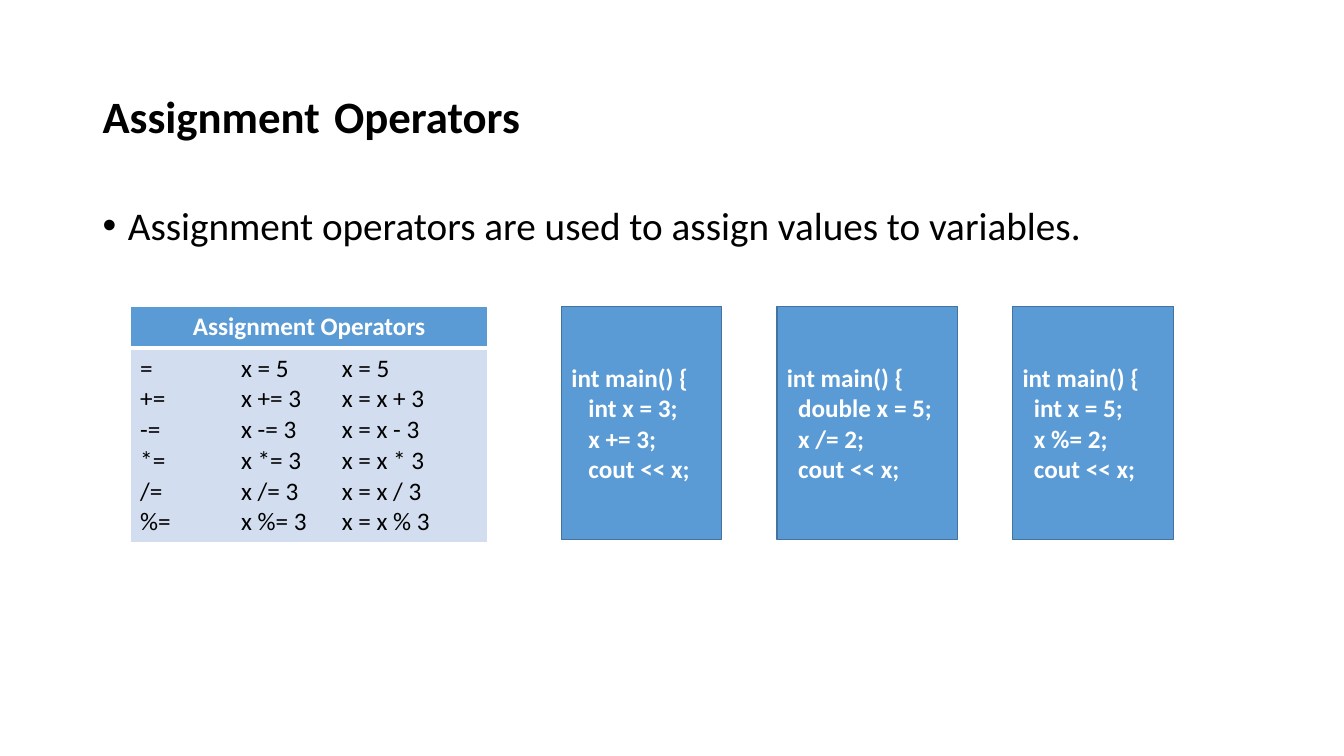
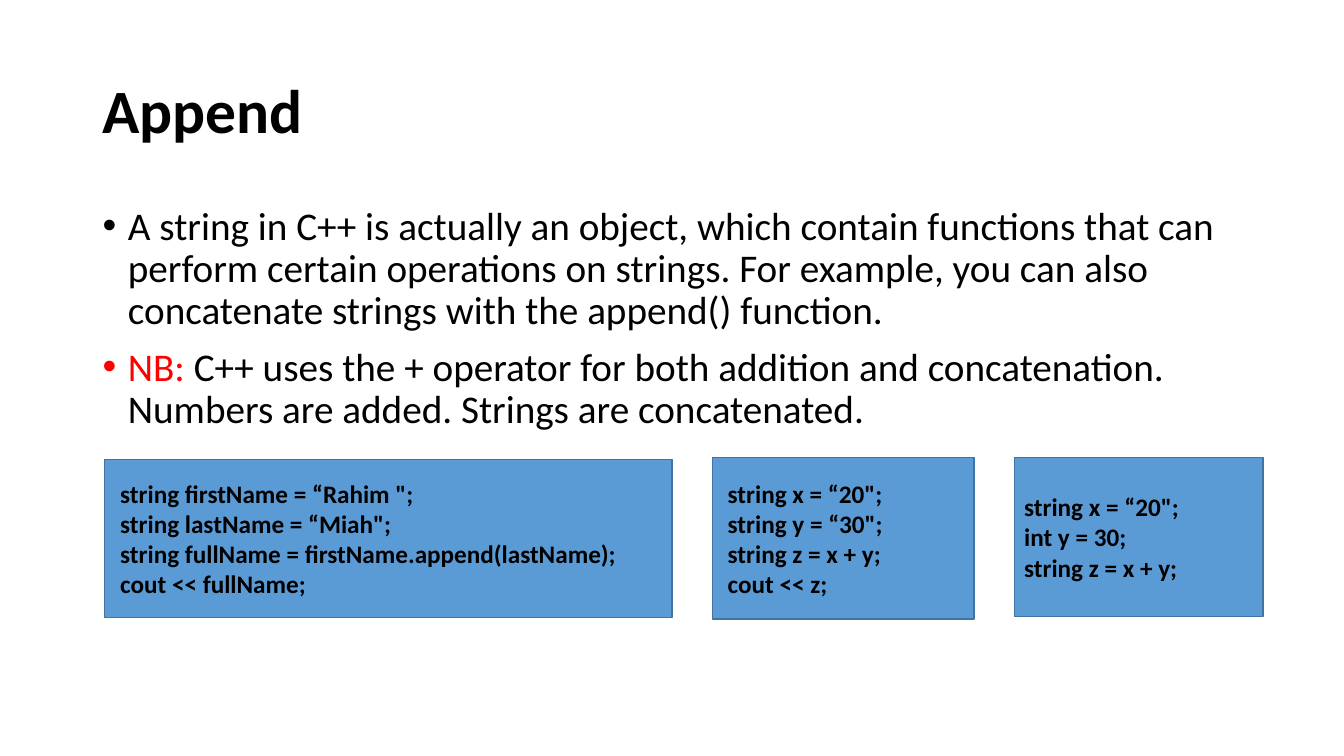
from lxml.etree import SubElement
from pptx import Presentation
from pptx.dml.color import RGBColor
from pptx.enum.shapes import MSO_SHAPE as Kind
from pptx.enum.text import MSO_ANCHOR as Anchor, MSO_AUTO_SIZE as Fit, PP_ALIGN as Align
from pptx.oxml.ns import qn
from pptx.util import Cm, Pt

# Shared look
BLUE, EDGE, PALE = "5B9BD5", "43739E", "D2DEEF"
BLACK, WHITE, RED = "000000", "FFFFFF", "FF0000"
FONT = "Calibri"
TITLE_BOX = (2.33, 1.01, 29.21, 3.68)
BODY_BOX = (2.33, 5.07, 29.21, 12.09)
PAD = 0.25
TAB = 2.54

# Content: titles are (text, size) runs, points are lists of (text, colour) runs
# Cards: width, offset from the row's top, height, extra left inset, code
SLIDES = [
    dict(
        title=[("Assignment", 32), (" ", 44), ("Operators", 32)],
        points=[[("Assignment operators are used to assign values to variables.", BLACK)]],
        table=("Assignment Operators", [
            ("=", "x = 5", "x = 5"),
            ("+=", "x += 3", "x = x + 3"),
            ("-=", "x -= 3", "x = x - 3"),
            ("*=", "x *= 3", "x = x * 3"),
            ("/=", "x /= 3", "x = x / 3"),
            ("%=", "x %= 3", "x = x % 3"),
        ]),
        left=14.15, top=7.72, gap=1.39, color=WHITE,
        cards=[
            (4.04, 0, 5.87, 0, ["int main() {", "   int x = 3;", "   x += 3;", "   cout << x;"]),
            (4.55, 0, 5.87, 0, ["int main() {", "  double x = 5;", "  x /= 2;", "  cout << x;"]),
            (4.06, 0, 5.87, 0, ["int main() {", "  int x = 5;", "  x %= 2;", "  cout << x;"]),
        ],
    ),
    dict(
        title=[("Append", 44)],
        points=[
            [("A string in C++ is actually an object, which contain functions that can "
              "perform certain operations on strings. For example, you can also "
              "concatenate strings with the append() function.", BLACK)],
            [("NB: ", RED),
             ("C++ uses the + operator for both addition and concatenation. "
              "Numbers are added. Strings are concatenated.", BLACK)],
        ],
        left=2.64, top=11.53, gap=1.01, color=BLACK,
        cards=[
            (14.3, 0.05, 3.98, 0.14, [
                'string firstName = “Rahim ";',
                'string lastName = “Miah";',
                "string fullName = firstName.append(lastName);",
                "cout << fullName;",
            ]),
            (6.6, 0, 4.07, 0.14, [
                'string x = “20";', 'string y = “30";', "string z = x + y;", "cout << z;",
            ]),
            (6.27, 0, 4, 0, ['string x = “20";', "int y = 30;", "string z = x + y;"]),
        ],
    ),
]


def rgb(code):
    return RGBColor.from_string(code)


def apply(obj, **vals):
    for key, val in vals.items():
        setattr(obj, key, val)


def place(shape, box):
    for key, val in zip(("left", "top", "width", "height"), box):
        setattr(shape, key, Cm(val))


def style(font, size, color, bold=False):
    apply(font, name=FONT, size=Pt(size), bold=bold)
    font.color.rgb = rgb(color)


def add_run(par, text, size, color, bold=False):
    run = par.add_run()
    run.text = text
    style(run.font, size, color, bold)


def get_par(frame, i):
    return frame.add_paragraph() if i else frame.paragraphs[0]


def set_tabs(par, count):
    if count:
        tabs = SubElement(par._p.get_or_add_pPr(), qn("a:tabLst"))
        for i in range(count):
            SubElement(tabs, qn("a:tab"), pos=str(Cm(TAB * (i + 1))), algn="l")


def write(frame, lines, color, bold=False, align=Align.LEFT):
    for i, line in enumerate(lines):
        par = get_par(frame, i)
        par.alignment = align
        set_tabs(par, line.count("\t"))
        add_run(par, line, 18, color, bold)


def add_title(shape, runs):
    apply(shape.text_frame, vertical_anchor=Anchor.MIDDLE, auto_size=Fit.NONE)
    par = shape.text_frame.paragraphs[0]
    apply(par, alignment=Align.LEFT, line_spacing=0.9)
    for text, size in runs:
        add_run(par, text, size, BLACK, True)


def add_points(shape, points):
    frame = shape.text_frame
    frame.auto_size = Fit.NONE
    for i, runs in enumerate(points):
        par = get_par(frame, i)
        props = par._p.get_or_add_pPr()
        props.set("marL", str(Cm(0.64)))
        props.set("indent", str(-Cm(0.64)))
        apply(par, line_spacing=0.9, space_before=Pt(10 if i else 0))
        for text, color in runs:
            add_run(par, text, 28, color)


def set_edges(cell, widths):
    props = cell._tc.get_or_add_tcPr()
    for i, (side, width) in enumerate(zip("LRTB", widths)):
        line = SubElement(props, qn("a:ln" + side), w=str(Pt(width)))
        fill = SubElement(line, qn("a:solidFill"))
        SubElement(fill, qn("a:srgbClr"), val=WHITE)
        props.insert(i, line)


def add_grid(slide, head, rows):
    box = [Cm(n) for n in (3.28, 7.72, 9.02, 5.95)]
    grid = slide.shapes.add_table(2, 1, *box).table
    apply(grid, first_row=False, horz_banding=False)
    lines = ["\t".join(row) for row in rows]
    parts = [
        (1.05, BLUE, (1, 1, 1, 3), [head], WHITE, True, Align.CENTER),
        (4.9, PALE, (1, 1, 3, 1), lines, BLACK, False, Align.LEFT),
    ]
    for i, (high, fill, edges, *text) in enumerate(parts):
        grid.rows[i].height = Cm(high)
        cell = grid.cell(i, 0)
        cell.fill.solid()
        cell.fill.fore_color.rgb = rgb(fill)
        set_edges(cell, edges)
        write(cell.text_frame, *text)


def add_card(slide, box, inset, code, color):
    card = slide.shapes.add_shape(Kind.RECTANGLE, *[Cm(n) for n in box])
    card.shadow.inherit = False
    card.fill.solid()
    card.fill.fore_color.rgb = rgb(BLUE)
    card.line.color.rgb = rgb(EDGE)
    card.line.width = Pt(1)
    apply(card.text_frame, word_wrap=True, vertical_anchor=Anchor.MIDDLE,
          margin_left=Cm(PAD + inset), margin_right=Cm(PAD))
    write(card.text_frame, code, color, True)


def add_slide(deck, layout, data):
    slide = deck.slides.add_slide(layout)
    add_title(slide.shapes.title, data["title"])
    add_points(slide.placeholders[1], data["points"])
    if "table" in data:
        add_grid(slide, *data["table"])
    # Cards run left to right with an equal gap
    left = data["left"]
    for wide, drop, high, inset, code in data["cards"]:
        add_card(slide, (left, data["top"] + drop, wide, high), inset, code, data["color"])
        left += wide + data["gap"]


def main():
    deck = Presentation()
    apply(deck, slide_width=Cm(33.87), slide_height=Cm(19.05))
    layout = deck.slide_layouts[1]
    for shape, box in zip(layout.placeholders, (TITLE_BOX, BODY_BOX)):
        place(shape, box)
    for data in SLIDES:
        add_slide(deck, layout, data)
    deck.save("out.pptx")


if __name__ == "__main__":
    main()
